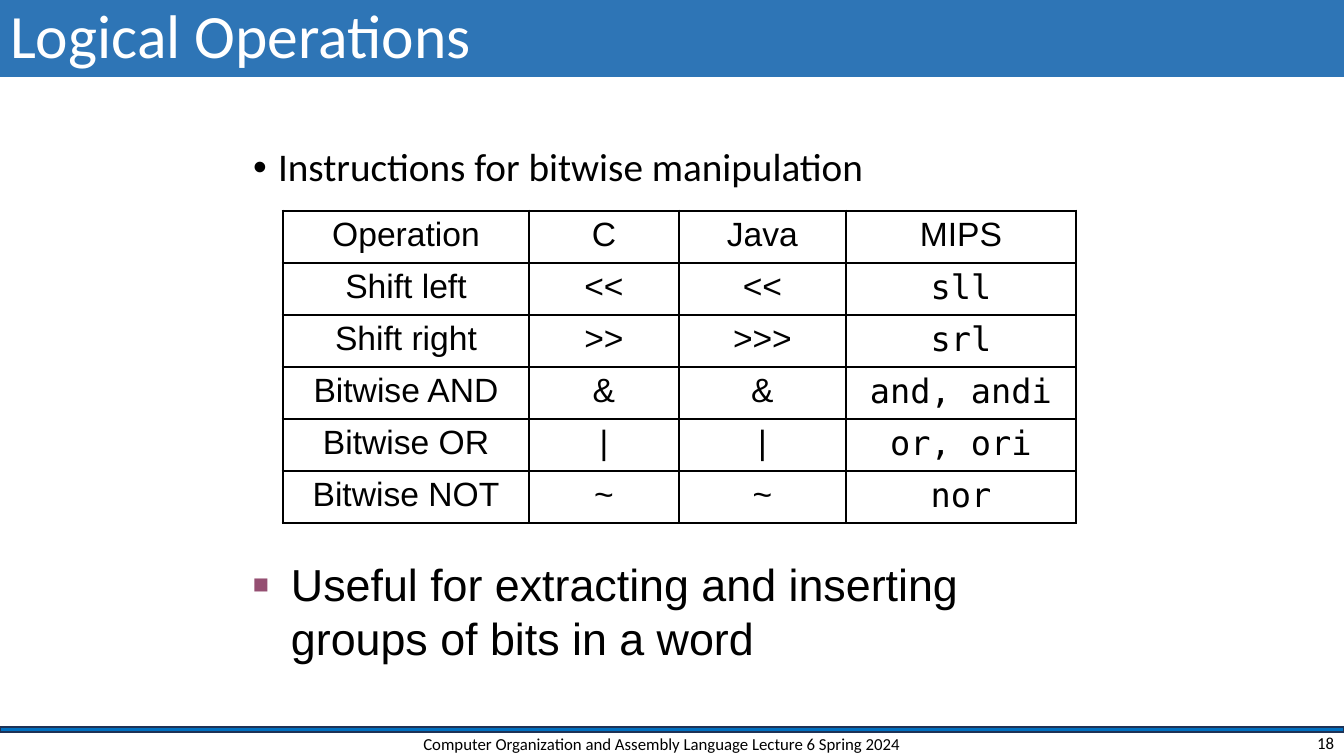
"""Build the "Logical Operations" slide: a table of bitwise instructions between two bullets."""
from dataclasses import dataclass

from lxml import etree
from pptx import Presentation
from pptx.dml.color import RGBColor
from pptx.enum.shapes import MSO_SHAPE
from pptx.enum.text import MSO_ANCHOR, MSO_AUTO_SIZE, PP_ALIGN
from pptx.oxml.ns import qn
from pptx.util import Emu, Pt

EMU_PER_PX = 914400 / 100.8
LEFT, CENTER, RIGHT = PP_ALIGN.LEFT, PP_ALIGN.CENTER, PP_ALIGN.RIGHT
TOP, MIDDLE = MSO_ANCHOR.TOP, MSO_ANCHOR.MIDDLE
NO_AUTOFIT = MSO_AUTO_SIZE.NONE
RECTANGLE = MSO_SHAPE.RECTANGLE

BLACK = RGBColor(0x00, 0x00, 0x00)
WHITE = RGBColor(0xFF, 0xFF, 0xFF)
TITLE_BLUE = RGBColor(0x2E, 0x75, 0xB6)
BAR_BLUE = RGBColor(0x00, 0x70, 0xC0)
BAR_EDGE = RGBColor(0x1E, 0x32, 0x56)
PLUM = RGBColor(0x95, 0x4F, 0x72)

SANS, PLAIN, MONO = "Calibri", "Arial", "DejaVu Sans Mono"

COLUMN_WIDTHS = (246, 150, 167, 230)
ROW_HEIGHT = 52
OPERATIONS = (
    ("Operation", "C", "Java", "MIPS"),
    ("Shift left", "<<", "<<", "sll"),
    ("Shift right", ">>", ">>>", "srl"),
    ("Bitwise AND", "&", "&", "and, andi"),
    ("Bitwise OR", "|", "|", "or, ori"),
    ("Bitwise NOT", "~", "~", "nor"),
)
OUTER, HEADER, INNER = 2.25, 1.5, 1


@dataclass(frozen=True)
class Area:
    left: int
    top: int
    width: int
    height: int

    def emu(self) -> tuple:
        return tuple(px(side) for side in (self.left, self.top, self.width, self.height))


@dataclass(frozen=True)
class Bullet:
    symbol: str
    indent: int
    percent: int
    color: RGBColor


@dataclass(frozen=True)
class Label:
    text: str
    area: Area
    font: str
    size: int
    color: RGBColor = BLACK
    align: PP_ALIGN = LEFT
    anchor: MSO_ANCHOR = TOP
    line_spacing: float = 1.0
    space_before: float = 0
    bullet: Bullet | None = None


TITLE = Label("Logical Operations", Area(0, 0, 1344, 77), SANS, 44, WHITE,
              anchor=MIDDLE, line_spacing=0.9)
INTRODUCTION = Label("Instructions for bitwise manipulation", Area(243, 143, 912, 77), SANS, 28,
                     line_spacing=0.9, space_before=10, bullet=Bullet("•", 25, 100, BLACK))
BOXES = (
    Label("Useful for extracting and inserting groups of bits in a word",
          Area(243, 552, 857, 119), PLAIN, 32, space_before=6.4,
          bullet=Bullet("■", 38, 60, PLUM)),
    Label("Computer Organization and Assembly Language Lecture 6 Spring 2024",
          Area(395, 730, 534, 28), SANS, 12, align=CENTER, anchor=MIDDLE),
    Label("18", Area(1041, 730, 303, 25), SANS, 12, align=RIGHT, anchor=MIDDLE),
)
FOOTER_BAR = Area(0, 727, 1344, 5)
TABLE_AREA = Area(283, 211, sum(COLUMN_WIDTHS), ROW_HEIGHT * len(OPERATIONS))


def px(length: int) -> Emu:
    return Emu(round(length * EMU_PER_PX))


def add_span(para, text: str, font: str, size: int, color: RGBColor) -> None:
    span = para.add_run()
    span.text = text
    span.font.name = font
    span.font.size = Pt(size)
    span.font.color.rgb = color


def set_bullet(para, bullet: Bullet) -> None:
    properties = para._p.get_or_add_pPr()
    properties.set("marL", str(px(bullet.indent)))
    properties.set("indent", str(-px(bullet.indent)))
    color = etree.SubElement(properties, qn("a:buClr"))
    etree.SubElement(color, qn("a:srgbClr"), val=str(bullet.color))
    etree.SubElement(properties, qn("a:buSzPct"), val=str(bullet.percent * 1000))
    etree.SubElement(properties, qn("a:buFont"), typeface=PLAIN)
    etree.SubElement(properties, qn("a:buChar"), char=bullet.symbol)


def fill_label(box, label: Label) -> None:
    box.left, box.top, box.width, box.height = label.area.emu()
    frame = box.text_frame
    frame.word_wrap = True
    frame.auto_size = NO_AUTOFIT
    frame.vertical_anchor = label.anchor
    para = frame.paragraphs[0]
    para.alignment = label.align
    para.line_spacing = label.line_spacing
    para.space_before = Pt(label.space_before)
    if label.bullet:
        set_bullet(para, label.bullet)
    add_span(para, label.text, label.font, label.size, label.color)


def set_borders(cell, widths: dict) -> None:
    properties = cell._tc.get_or_add_tcPr()
    for position, (side, width) in enumerate(widths.items()):
        line = etree.Element(qn(f"a:ln{side}"), w=str(Pt(width)))
        fill = etree.SubElement(line, qn("a:solidFill"))
        etree.SubElement(fill, qn("a:srgbClr"), val=str(BLACK))
        properties.insert(position, line)


def add_operations(page) -> None:
    table = page.shapes.add_table(len(OPERATIONS), len(COLUMN_WIDTHS), *TABLE_AREA.emu()).table
    table.first_row = table.horz_banding = False
    for column, width in zip(table.columns, COLUMN_WIDTHS):
        column.width = px(width)
    last_row, last_column = len(OPERATIONS) - 1, len(COLUMN_WIDTHS) - 1
    row_lines = [OUTER, HEADER] + [INNER] * (last_row - 1) + [OUTER]
    column_lines = [OUTER] + [INNER] * last_column + [OUTER]
    for r, texts in enumerate(OPERATIONS):
        table.rows[r].height = px(ROW_HEIGHT)
        for c, text in enumerate(texts):
            cell = table.cell(r, c)
            cell.fill.background()
            set_borders(cell, {"L": column_lines[c], "R": column_lines[c + 1],
                               "T": row_lines[r], "B": row_lines[r + 1]})
            para = cell.text_frame.paragraphs[0]
            para.alignment = CENTER
            font = MONO if r > 0 and c == last_column else PLAIN
            add_span(para, text, font, 24, BLACK)


def add_footer_bar(page) -> None:
    bar = page.shapes.add_shape(RECTANGLE, *FOOTER_BAR.emu())
    bar.shadow.inherit = False
    bar.fill.solid()
    bar.fill.fore_color.rgb = BAR_BLUE
    bar.line.color.rgb = BAR_EDGE
    bar.line.width = Pt(1)


def main() -> None:
    deck = Presentation()
    deck.slide_width, deck.slide_height = px(1344), px(756)
    page = deck.slides.add_slide(deck.slide_layouts[1])
    add_footer_bar(page)
    title = page.shapes.title
    title.fill.solid()
    title.fill.fore_color.rgb = TITLE_BLUE
    fill_label(title, TITLE)
    fill_label(page.placeholders[1], INTRODUCTION)
    add_operations(page)
    for label in BOXES:
        fill_label(page.shapes.add_textbox(*label.area.emu()), label)
    deck.save("out.pptx")


if __name__ == "__main__":
    main()
